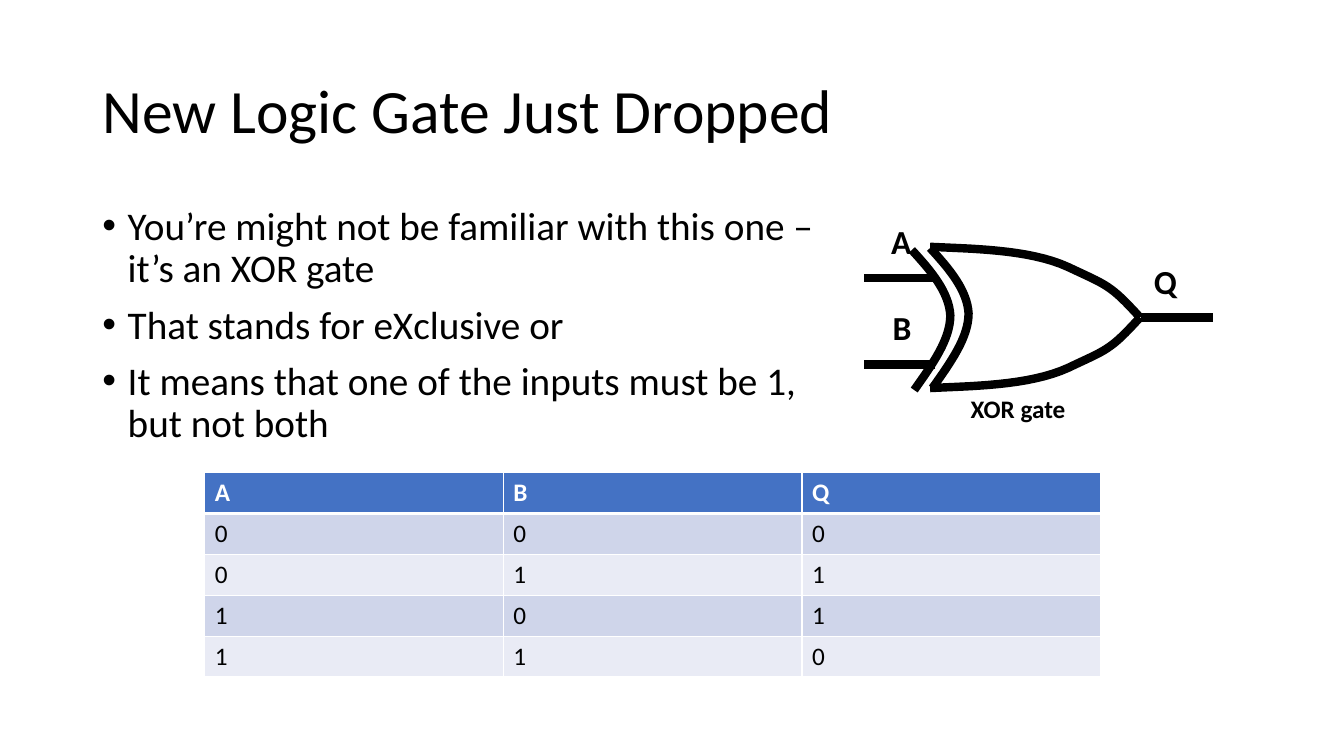
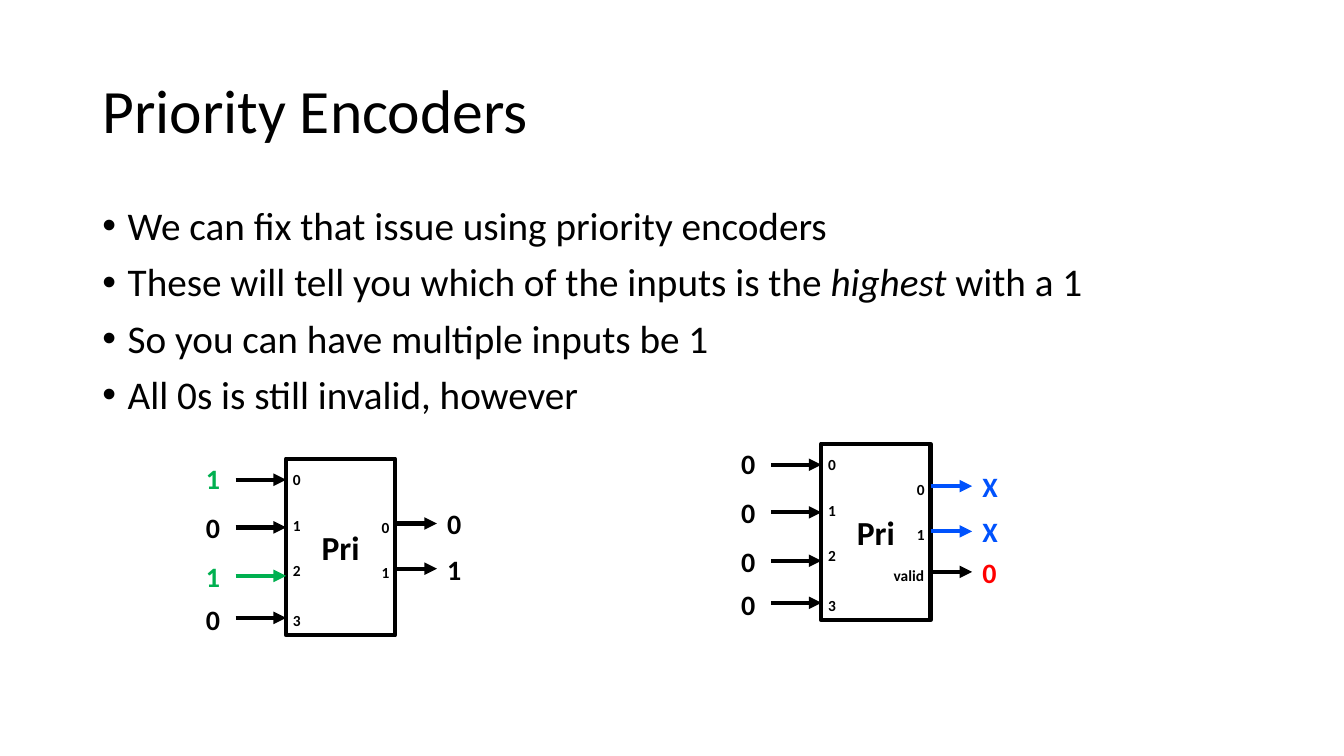
from dataclasses import dataclass

from lxml.etree import SubElement as Sub
from pptx import Presentation
from pptx.dml.color import RGBColor as Rgb
from pptx.enum.shapes import MSO_CONNECTOR as Link, MSO_SHAPE as Shape
from pptx.enum.text import MSO_ANCHOR as Anchor, PP_ALIGN as Align
from pptx.oxml.ns import qn
from pptx.util import Cm, Pt


# Theme: colours, font, type sizes and line widths in points
@dataclass(frozen=True)
class Theme:
    font: str = "Calibri"
    black: str = "000000"
    white: str = "FFFFFF"
    green: str = "00B050"
    blue: str = "0052FD"
    red: str = "FF0000"
    head: str = "4472C4"
    bands: tuple = ("CFD5EA", "E9EBF5")
    title: int = 44
    body: int = 28
    label: int = 24
    value: int = 20
    cell: int = 18
    pin: int = 11
    wire: int = 6
    edge: int = 3
    rule: int = 1


T = Theme()


# Text
def add_run(par, text, size, color=T.black, bold=False, italic=False):
    run = par.add_run()
    run.text = text
    font = run.font
    font.name, font.size = T.font, Pt(size)
    font.bold, font.italic = bold, italic
    font.color.rgb = Rgb.from_string(color)


def add_box(shapes, x, y, w, h, anchor=Anchor.TOP):
    box = shapes.add_textbox(Cm(x), Cm(y), Cm(w), Cm(h))
    frame = box.text_frame
    frame.word_wrap = True
    frame.vertical_anchor = anchor
    return frame


def add_label(shapes, text, x, y, w, h, size, color=T.black, align=Align.LEFT):
    par = add_box(shapes, x, y, w, h).paragraphs[0]
    par.alignment = align
    add_run(par, text, size, color, bold=True)


def add_title(slide, text):
    frame = add_box(slide.shapes, 2.33, 1.02, 29.21, 3.68, Anchor.MIDDLE)
    par = frame.paragraphs[0]
    par.line_spacing = 0.9
    add_run(par, text, T.title)


def add_list(slide, width, items):
    """Each item is a list of runs; a run is (text, italic)."""
    frame = add_box(slide.shapes, 2.33, 5.08, width, 12.09)
    for i, runs in enumerate(items):
        par = frame.add_paragraph() if i else frame.paragraphs[0]
        par.line_spacing, par.space_before = 0.9, Pt(10)
        props = par._p.get_or_add_pPr()
        props.set("marL", str(Cm(0.64)))
        props.set("indent", str(-Cm(0.64)))
        Sub(props, qn("a:buFont"), typeface="Arial")
        Sub(props, qn("a:buChar"), char="•")
        for text, italic in runs:
            add_run(par, text, T.body, italic=italic)


# Lines and curves
def set_line(shape, color, width):
    shape.line.color.rgb = Rgb.from_string(color)
    shape.line.width = Pt(width)


def add_wire(shapes, x1, x2, y, width, color=T.black, arrow=False):
    wire = shapes.add_connector(Link.STRAIGHT, Cm(x1), Cm(y), Cm(x2), Cm(y))
    set_line(wire, color, width)
    if arrow:
        Sub(wire.line._get_or_add_ln(), qn("a:tailEnd"), type="triangle")
    Sub(wire._element.spPr, qn("a:effectLst"))


def bezier(ends, t):
    u = 1 - t
    parts = (u ** 3, 3 * u * u * t, 3 * u * t * t, t ** 3)
    return tuple(Cm(sum(k * p[axis] for k, p in zip(parts, ends)))
                 for axis in (0, 1))


def add_curve(shapes, knots, steps=16):
    """Draw joined cubic curves; knots are start, then three per curve."""
    dots = [bezier(knots[i:i + 4], n / steps)
            for i in range(0, len(knots) - 1, 3)
            for n in range(1, steps + 1)]
    x, y = knots[0]
    pen = shapes.build_freeform(Cm(x), Cm(y))
    pen.add_line_segments(dots, close=False)
    curve = pen.convert_to_shape()
    curve.shadow.inherit = False
    curve.fill.background()
    set_line(curve, T.black, T.wire)


# XOR gate
def add_gate(slide):
    shapes = slide.shapes.add_group_shape().shapes
    mid = 8
    for name, y in (("A", 7.01), ("B", 9.18)):
        add_wire(shapes, 23.57, 21.77, y, T.wire)
        add_label(shapes, name, 21.44, y - 1.57, 1.78, 1.65, T.label,
                  align=Align.RIGHT)
    add_wire(shapes, 30.56, 28.75, mid, T.wire)
    add_label(shapes, "Q", 28.83, 6.45, 2.69, 1.65, T.label)
    add_label(shapes, "XOR gate", 21.72, 9.78, 7.87, 1.32, T.cell,
              align=Align.CENTER)

    # The lower side mirrors the upper one; the rear arc is drawn twice
    side = [(23.44, 6.22), (24.38, 6.27), (25.93, 6.27), (26.92, 6.73),
            (27.89, 7.19), (27.97, 7.16), (28.73, mid)]
    rear = [(23.44, 6.25), (23.93, 6.78), (24.38, 7.32), (24.41, 7.9),
            (24.41, 8.51), (23.95, 9.14), (23.5, 9.78)]
    add_curve(shapes, side)
    add_curve(shapes, [(x, 2 * mid - y) for x, y in side])
    add_curve(shapes, rear)
    add_curve(shapes, [(x - 0.46, y + 0.05) for x, y in rear])


# Truth table
def set_cell(cell, text, row):
    head = row == 0
    props = cell._tc.get_or_add_tcPr()
    thick = {"lnB": 0, "lnT": 1}
    for side in ("lnL", "lnR", "lnT", "lnB"):
        width = T.edge if thick.get(side) == row else T.rule
        line = Sub(props, qn(f"a:{side}"), w=str(Pt(width)))
        Sub(Sub(line, qn("a:solidFill")), qn("a:srgbClr"), val=T.white)
    cell.fill.solid()
    color = T.head if head else T.bands[(row - 1) % 2]
    cell.fill.fore_color.rgb = Rgb.from_string(color)
    add_run(cell.text_frame.paragraphs[0], text, T.cell,
            T.white if head else T.black, bold=head)


def add_truth(slide, rows):
    frame = slide.shapes.add_table(len(rows), len(rows[0]), Cm(5.16),
                                   Cm(11.91), Cm(22.58), Cm(5.15))
    table = frame.table
    for r, row in enumerate(rows):
        table.rows[r].height = Cm(1.03)
        for c, text in enumerate(row):
            set_cell(table.cell(r, c), text, r)


# Priority encoder
def add_coder(slide, x, y, ins, outs):
    """ins: value, text colour, wire colour;
    outs: pin, value, text colour, wire colour, wire height."""
    shapes = slide.shapes.add_group_shape().shapes
    wide = 2.75
    block = shapes.add_shape(Shape.RECTANGLE, Cm(x), Cm(y), Cm(wide), Cm(4.45))
    block.shadow.inherit = False
    block.fill.solid()
    block.fill.fore_color.rgb = Rgb.from_string(T.white)
    set_line(block, T.black, T.edge)
    block.text_frame.vertical_anchor = Anchor.MIDDLE
    par = block.text_frame.paragraphs[0]
    par.alignment = Align.CENTER
    add_run(par, "Pri", T.label, bold=True)

    # Heights of wire, value and pin number for each input
    levels = ((0.53, -0.05, 0.16), (1.73, 1.17, 1.32),
              (2.95, 2.41, 2.46), (4.01, 3.5, 3.71))
    for i, ((text, color, ink), (wire, val, pin)) in enumerate(
            zip(ins, levels)):
        add_wire(shapes, x - 1.27, x, y + wire, T.edge, ink, arrow=True)
        add_label(shapes, text, x - 2.27, y + val, 1.07, 1.12, T.value, color)
        add_label(shapes, str(i), x - 0.08, y + pin, 1.07, 0.74, T.pin)

    for pin, text, color, ink, wire in outs:
        add_wire(shapes, x + wide, x + 3.8, y + wire, T.edge, ink, arrow=True)
        add_label(shapes, text, x + 3.81, y + wire - 0.54, 1.7, 1.12,
                  T.value, color)
        left, room = (2.16, 1.07) if len(pin) == 1 else (1.57, 1.7)
        add_label(shapes, pin, x + left, y + wire - 0.27, room, 0.74, T.pin)


def main():
    deck = Presentation()
    deck.slide_width, deck.slide_height = Cm(33.87), Cm(19.05)
    blank = deck.slide_layouts[6]

    # Slide 1: XOR gate
    slide = deck.slides.add_slide(blank)
    add_title(slide, "New Logic Gate Just Dropped")
    add_list(slide, 18.75, [
        [("You’re might not be familiar with this one – it’s an XOR gate",
          False)],
        [("That stands for eXclusive or", False)],
        [("It means that one of the inputs must be 1, but not both", False)],
    ])
    add_gate(slide)
    add_truth(slide, ["ABQ", "000", "011", "101", "110"])

    # Slide 2: priority encoders
    slide = deck.slides.add_slide(blank)
    add_title(slide, "Priority Encoders")
    add_list(slide, 29.21, [
        [("We can fix that issue using priority encoders", False)],
        [("These will tell you which of the inputs is the ", False),
         ("highest", True), (" with a 1", False)],
        [("So you can have multiple inputs be 1", False)],
        [("All 0s is still invalid, however", False)],
    ])
    zero = ("0", T.black, T.black)
    add_coder(slide, 7.21, 11.56,
              [("1", T.green, T.black), zero, ("1", T.green, T.green), zero],
              [("0", "0", T.black, T.black, 1.63),
               ("1", "1", T.black, T.black, 2.77)])
    add_coder(slide, 20.7, 11.18, [zero] * 4,
              [("0", "X", T.blue, T.blue, 1.07),
               ("1", "X", T.blue, T.blue, 2.21),
               ("valid", "0", T.red, T.black, 3.23)])

    deck.save("out.pptx")


main()
